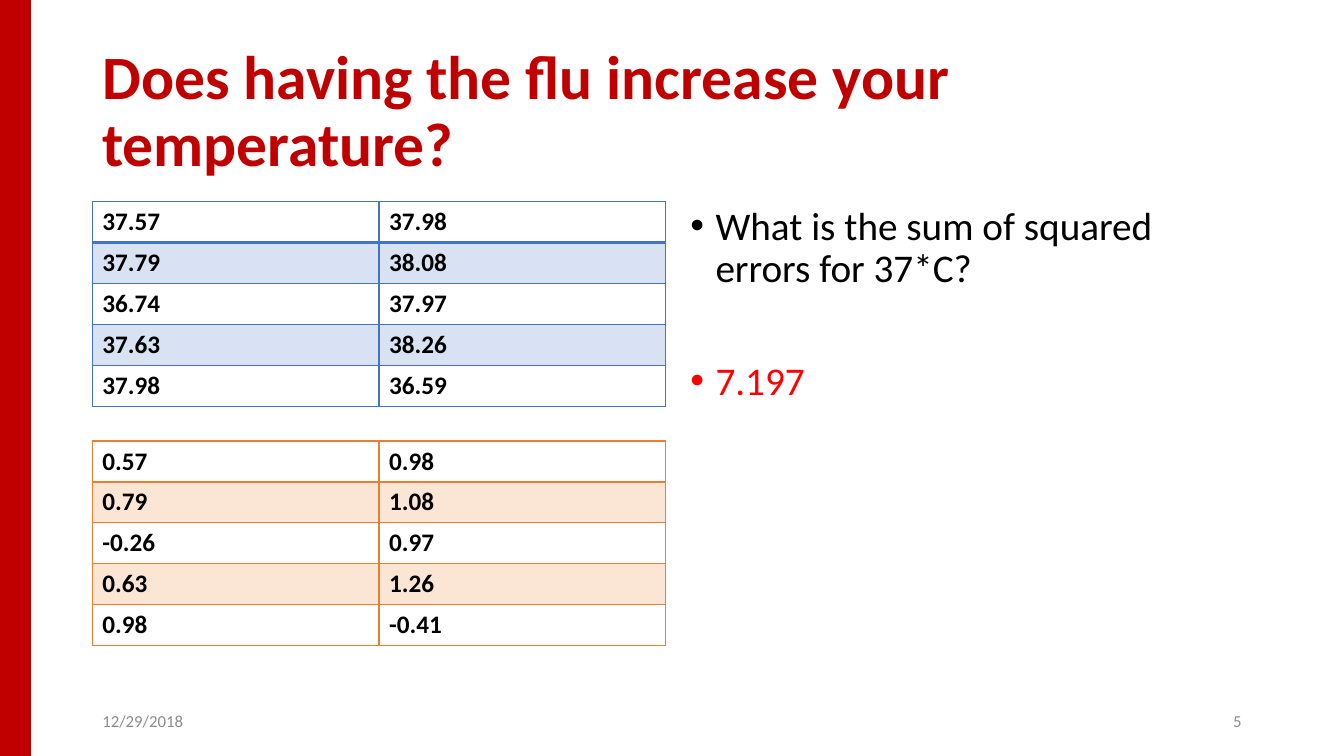
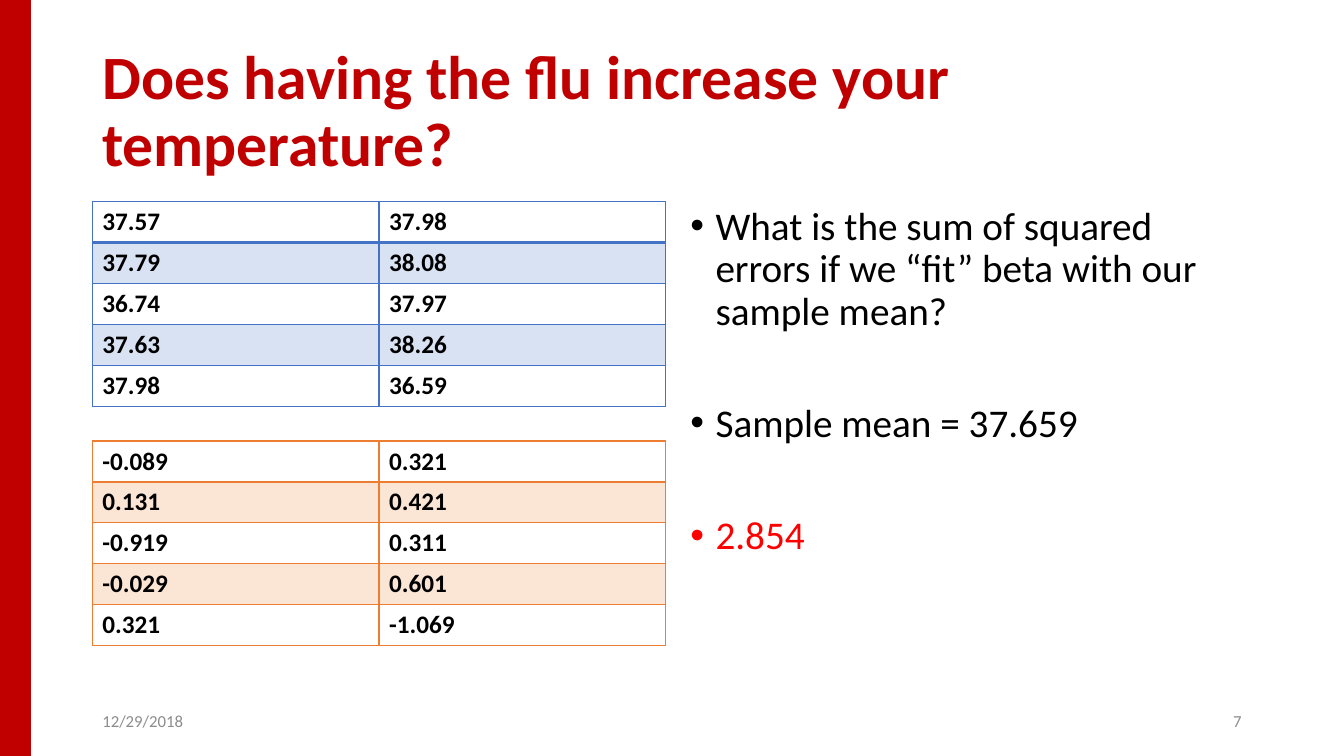
from dataclasses import dataclass

from lxml import etree
from pptx import Presentation
from pptx.dml.color import RGBColor
from pptx.enum.shapes import MSO_SHAPE
from pptx.enum.text import MSO_ANCHOR, PP_ALIGN
from pptx.oxml.ns import qn
from pptx.slide import Slide
from pptx.table import _Cell
from pptx.text.text import TextFrame, _Paragraph
from pptx.util import Emu, Pt

RECTANGLE = MSO_SHAPE.RECTANGLE
TOP, MIDDLE = MSO_ANCHOR.TOP, MSO_ANCHOR.MIDDLE
LEFT, RIGHT = PP_ALIGN.LEFT, PP_ALIGN.RIGHT

EMU_PER_PX = 9525
FONT = "Calibri"
CRIMSON, RED, BLACK, GRAY = "C00000", "FF0000", "000000", "8C8C8C"
BLUE, ORANGE = "4472C4", "ED7D31"

SLIDE_WIDTH, SLIDE_HEIGHT = 1280, 720
BAND_WIDTH = 29
MARGIN = 88
CONTENT_WIDTH = SLIDE_WIDTH - 2 * MARGIN
TABLE_WIDTH, ROW_HEIGHT = 546, 39
READINGS_TOP, ERRORS_TOP = 192, 420
QUESTION_LEFT, QUESTION_HEIGHT = 648, 457
FOOTER_TOP, FOOTER_WIDTH, FOOTER_HEIGHT = 667, 288, 38
BULLET_INDENT = 24
BULLET_GAP = 50

TITLE = "Does having the flu increase your temperature?"
DATE = "12/29/2018"
Rows = list[tuple[str, str]]
READINGS: Rows = [
    ("37.57", "37.98"),
    ("37.79", "38.08"),
    ("36.74", "37.97"),
    ("37.63", "38.26"),
    ("37.98", "36.59"),
]


@dataclass(frozen=True)
class FluSlide:
    number: str
    errors: Rows
    prompts: list[str]
    answer: str


FLU_SLIDES = [
    FluSlide(
        "5",
        [
            ("0.57", "0.98"),
            ("0.79", "1.08"),
            ("-0.26", "0.97"),
            ("0.63", "1.26"),
            ("0.98", "-0.41"),
        ],
        ["What is the sum of squared errors for 37*C?"],
        "7.197",
    ),
    FluSlide(
        "7",
        [
            ("-0.089", "0.321"),
            ("0.131", "0.421"),
            ("-0.919", "0.311"),
            ("-0.029", "0.601"),
            ("0.321", "-1.069"),
        ],
        [
            "What is the sum of squared errors if we “fit” beta with our sample mean?",
            "Sample mean = 37.659",
        ],
        "2.854",
    ),
]


def px(length: int) -> Emu:
    return Emu(length * EMU_PER_PX)


def rgb(color: str) -> RGBColor:
    return RGBColor.from_string(color)


def style(paragraph: _Paragraph, size: int, color: str, bold: bool = False) -> None:
    font = paragraph.font
    font.name, font.size, font.bold = FONT, Pt(size), bold
    font.color.rgb = rgb(color)


def add_band(slide: Slide) -> None:
    band = slide.shapes.add_shape(RECTANGLE, 0, 0, px(BAND_WIDTH), px(SLIDE_HEIGHT))
    band.shadow.inherit = False
    band.fill.solid()
    band.fill.fore_color.rgb = rgb(CRIMSON)
    band.line.color.rgb = rgb(CRIMSON)
    band.line.width = Pt(1)


def add_frame(slide: Slide, left: int, top: int, width: int, height: int,
              anchor: MSO_ANCHOR = MIDDLE) -> TextFrame:
    frame = slide.shapes.add_textbox(px(left), px(top), px(width), px(height)).text_frame
    frame.word_wrap = True
    frame.vertical_anchor = anchor
    return frame


def add_title(slide: Slide) -> None:
    title = add_frame(slide, MARGIN, 38, CONTENT_WIDTH, 139).paragraphs[0]
    title.text = TITLE
    title.line_spacing = 0.9
    style(title, 44, CRIMSON, bold=True)


def add_footer(slide: Slide, text: str, left: int, align: PP_ALIGN) -> None:
    footer = add_frame(slide, left, FOOTER_TOP, FOOTER_WIDTH, FOOTER_HEIGHT).paragraphs[0]
    footer.text = text
    footer.alignment = align
    style(footer, 12, GRAY)


def add_bullet(paragraph: _Paragraph, color: str) -> None:
    properties = paragraph._p.get_or_add_pPr()
    properties.set("marL", str(px(BULLET_INDENT)))
    properties.set("indent", str(-px(BULLET_INDENT)))
    tint = etree.SubElement(properties, qn("a:buClr"))
    etree.SubElement(tint, qn("a:srgbClr"), val=color)
    etree.SubElement(properties, qn("a:buFont"), typeface="Arial")
    etree.SubElement(properties, qn("a:buChar"), char="•")


def add_question(slide: Slide, prompts: list[str], answer: str) -> None:
    width = SLIDE_WIDTH - MARGIN - QUESTION_LEFT
    frame = add_frame(slide, QUESTION_LEFT, READINGS_TOP, width, QUESTION_HEIGHT, TOP)
    points = [(prompt, BLACK) for prompt in prompts] + [(answer, RED)]
    for index, (text, color) in enumerate(points):
        point = frame.add_paragraph() if index else frame.paragraphs[0]
        point.text = text
        add_bullet(point, color)
        point.line_spacing = 0.9
        if index:
            point.space_before = Pt(BULLET_GAP)
        style(point, 28, color)


def add_borders(cell: _Cell, color: str, bottom_width: int) -> None:
    properties = cell._tc.get_or_add_tcPr()
    for side, width in (("L", 1), ("R", 1), ("T", 1), ("B", bottom_width)):
        border = etree.SubElement(properties, qn(f"a:ln{side}"), w=str(Pt(width)))
        fill = etree.SubElement(border, qn("a:solidFill"))
        etree.SubElement(fill, qn("a:srgbClr"), val=color)


def tint_cell(cell: _Cell, color: str) -> None:
    cell.fill.solid()
    cell.fill.fore_color.rgb = rgb(color)
    shade = cell._tc.tcPr.find(qn("a:solidFill")).find(qn("a:srgbClr"))
    etree.SubElement(shade, qn("a:alpha"), val="20000")


def add_values(slide: Slide, rows: Rows, top: int, color: str) -> None:
    table = slide.shapes.add_table(
        len(rows), len(rows[0]), px(MARGIN), px(top),
        px(TABLE_WIDTH), px(ROW_HEIGHT * len(rows)),
    ).table
    table.first_row = table.horz_banding = False
    for row_index, values in enumerate(rows):
        for column_index, value in enumerate(values):
            cell = table.cell(row_index, column_index)
            cell.text = value
            style(cell.text_frame.paragraphs[0], 18, BLACK, bold=True)
            add_borders(cell, color, 1 if row_index else 2)
            if row_index % 2:
                tint_cell(cell, color)
            else:
                cell.fill.background()


def main() -> None:
    deck = Presentation()
    deck.slide_width, deck.slide_height = px(SLIDE_WIDTH), px(SLIDE_HEIGHT)
    for flu in FLU_SLIDES:
        slide = deck.slides.add_slide(deck.slide_layouts[6])
        add_band(slide)
        add_title(slide)
        add_values(slide, READINGS, READINGS_TOP, BLUE)
        add_question(slide, flu.prompts, flu.answer)
        add_footer(slide, DATE, MARGIN, LEFT)
        add_footer(slide, flu.number, SLIDE_WIDTH - MARGIN - FOOTER_WIDTH, RIGHT)
        add_values(slide, flu.errors, ERRORS_TOP, ORANGE)
    deck.save("out.pptx")


if __name__ == "__main__":
    main()
